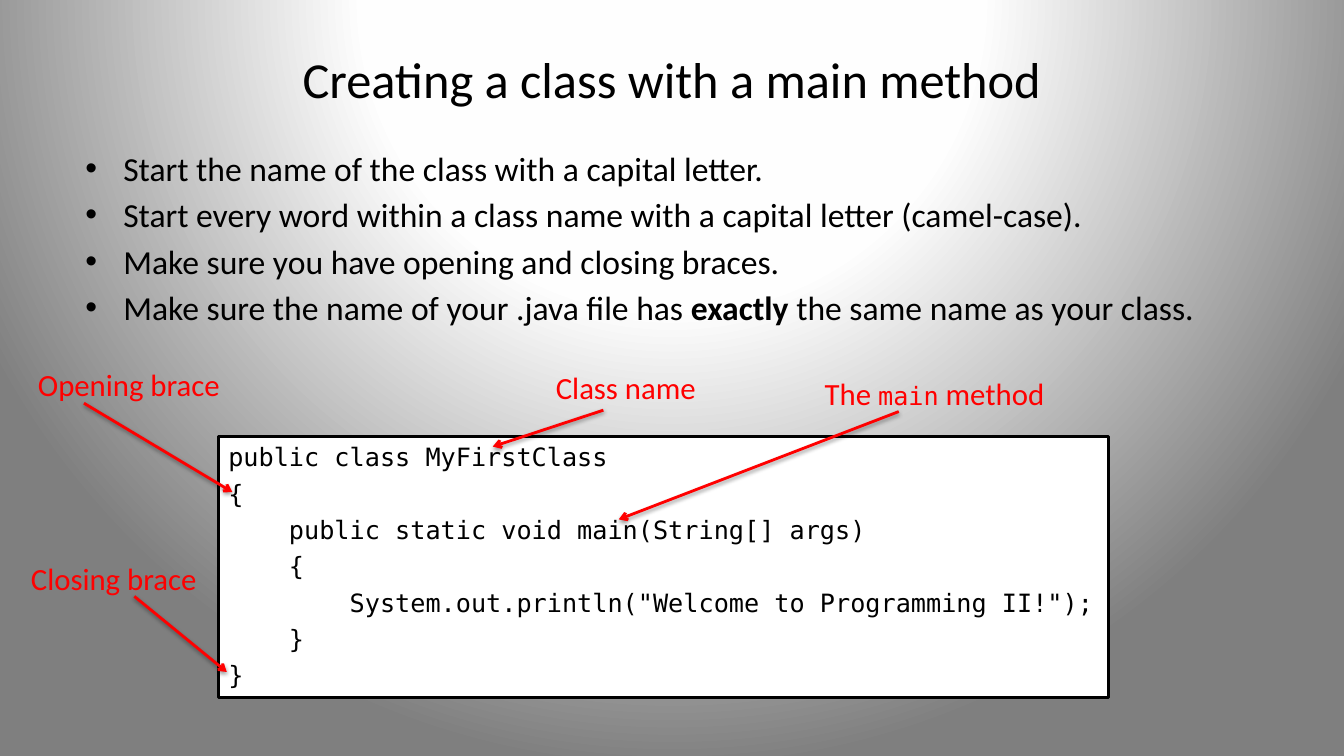
from dataclasses import dataclass

from lxml import etree
from pptx import Presentation
from pptx.dml.color import RGBColor
from pptx.enum.shapes import MSO_CONNECTOR, MSO_SHAPE
from pptx.enum.text import MSO_ANCHOR, MSO_AUTO_SIZE, PP_ALIGN
from pptx.oxml import parse_xml
from pptx.oxml.ns import qn
from pptx.util import Pt

RECT = MSO_SHAPE.RECTANGLE
STRAIGHT = MSO_CONNECTOR.STRAIGHT
TOP, MIDDLE = MSO_ANCHOR.TOP, MSO_ANCHOR.MIDDLE
LEFT, CENTER = PP_ALIGN.LEFT, PP_ALIGN.CENTER
FIT_SHAPE = MSO_AUTO_SIZE.SHAPE_TO_FIT_TEXT
NS = "http://schemas.openxmlformats.org/drawingml/2006/main"


@dataclass(frozen=True)
class Theme:
    ink: str = "000000"
    paper: str = "FFFFFF"
    accent: str = "FF0000"
    glow: tuple = ((0, "FFFFFF"), (40, "FEFEFE"), (100, "7F7F7F"))
    sans: str = "Calibri"
    mono: str = "DejaVu Sans Mono"
    title: int = 36
    body: int = 24
    label: int = 22
    code: int = 18
    gap: float = 4.3
    line: int = 2


THEME = Theme()

BULLETS = [
    ["Start the name of the class with a capital letter."],
    ["Start every word within a class name with a capital letter (camel-case)."],
    ["Make sure you have opening and closing braces."],
    ["Make sure the name of your .java file has ", "exactly",
     " the same name as your class."],
]

CODE = """public class MyFirstClass
{
    public static void main(String[] args)
    {
        System.out.println("Welcome to Programming II!");
    }
}"""

# Label runs, label box, arrow start, arrow end
CALLOUTS = [
    (["Class name"], (390, 260, 116, 34), (431, 293), (352, 319)),
    (["Opening brace"], (20, 258, 146, 34), (60, 288), (166, 351.5)),
    (["Closing brace"], (15, 396, 135, 34), (96, 426), (162, 480)),
    (["The ", "main", " method"], (582, 264, 173, 34), (642, 294), (442, 371)),
]


def style(r, size, color=THEME.ink, font=THEME.sans, bold=False):
    r.font.size = Pt(size)
    r.font.name = font
    r.font.bold = bold
    r.font.color.rgb = RGBColor.from_string(color)


def add_runs(p, texts):
    for text in texts:
        p.add_run().text = text
    return p.runs


def next_paragraph(tf, index):
    if index == 0:
        return tf.paragraphs[0]
    p = tf.add_paragraph()
    p.space_before = Pt(THEME.gap)
    return p


def add_text_box(slide, box, anchor=TOP, wrap=True):
    tf = slide.shapes.add_textbox(*map(Pt, box)).text_frame
    tf.word_wrap = wrap
    tf.vertical_anchor = anchor
    return tf


def set_background(slide):
    stops = "".join(
        f'<a:gs pos="{pos * 1000}"><a:srgbClr val="{color}"/></a:gs>'
        for pos, color in THEME.glow)
    slide.background.fill.solid()
    solid = next(slide._element.iter(qn("a:solidFill")))
    solid.getparent().replace(solid, parse_xml(
        f'<a:gradFill xmlns:a="{NS}" rotWithShape="1"><a:gsLst>{stops}</a:gsLst>'
        '<a:path path="circle"><a:fillToRect l="50000" t="-80000" '
        'r="50000" b="180000"/></a:path></a:gradFill>'))


def add_title(slide, text, box):
    tf = add_text_box(slide, box, anchor=MIDDLE)
    tf.text = text
    p = tf.paragraphs[0]
    p.alignment = CENTER
    style(p.runs[0], THEME.title)


def add_bullets(slide, items, box):
    tf = add_text_box(slide, box)
    for i, texts in enumerate(items):
        p = next_paragraph(tf, i)
        pPr = p._p.get_or_add_pPr()
        pPr.set("marL", str(Pt(27)))
        pPr.set("indent", str(-Pt(27)))
        etree.SubElement(pPr, qn("a:buFont")).set("typeface", "Arial")
        etree.SubElement(pPr, qn("a:buChar")).set("char", "•")
        for r in add_runs(p, texts):
            style(r, THEME.body, bold=r.text == "exactly")


def add_code(slide, code, box):
    sp = slide.shapes.add_shape(RECT, *map(Pt, box))
    sp.shadow.inherit = False
    sp.fill.solid()
    sp.fill.fore_color.rgb = RGBColor.from_string(THEME.paper)
    sp.line.color.rgb = RGBColor.from_string(THEME.ink)
    sp.line.width = Pt(THEME.line)
    tf = sp.text_frame
    tf.word_wrap = True
    tf.vertical_anchor = TOP
    for i, text in enumerate(code.splitlines()):
        p = next_paragraph(tf, i)
        p.text = text
        p.alignment = LEFT
        style(p.runs[0], THEME.code, font=THEME.mono)


def add_label(slide, texts, box):
    tf = add_text_box(slide, box, wrap=False)
    tf.auto_size = FIT_SHAPE
    for r in add_runs(tf.paragraphs[0], texts):
        if r.text == "main":
            style(r, THEME.code, THEME.accent, THEME.mono)
        else:
            style(r, THEME.label, THEME.accent)


def add_arrow(slide, start, end):
    arrow = slide.shapes.add_connector(STRAIGHT, *map(Pt, start + end))
    arrow.line.color.rgb = RGBColor.from_string(THEME.accent)
    arrow.line.width = Pt(THEME.line)
    spPr = arrow._element.spPr
    etree.SubElement(spPr.find(qn("a:ln")), qn("a:tailEnd")).set("type", "arrow")
    spPr.append(parse_xml(
        f'<a:effectLst xmlns:a="{NS}"><a:outerShdw blurRad="{Pt(3.1)}" '
        f'dist="{Pt(1.6)}" dir="5400000" rotWithShape="0">'
        f'<a:srgbClr val="{THEME.ink}"><a:alpha val="38000"/></a:srgbClr>'
        '</a:outerShdw></a:effectLst>'))


def main():
    prs = Presentation()
    prs.slide_width, prs.slide_height = Pt(960), Pt(540)
    slide = prs.slides.add_slide(prs.slide_layouts[6])
    set_background(slide)

    # Heading and rules
    add_title(slide, "Creating a class with a main method", (48, 21.6, 864, 68.4))
    add_bullets(slide, BULLETS, (54, 102, 864, 144))

    # Code sample with its callouts
    add_code(slide, CODE, (156, 312, 636, 186))
    for texts, box, start, end in CALLOUTS:
        add_label(slide, texts, box)
        add_arrow(slide, start, end)

    prs.save("out.pptx")


if __name__ == "__main__":
    main()
